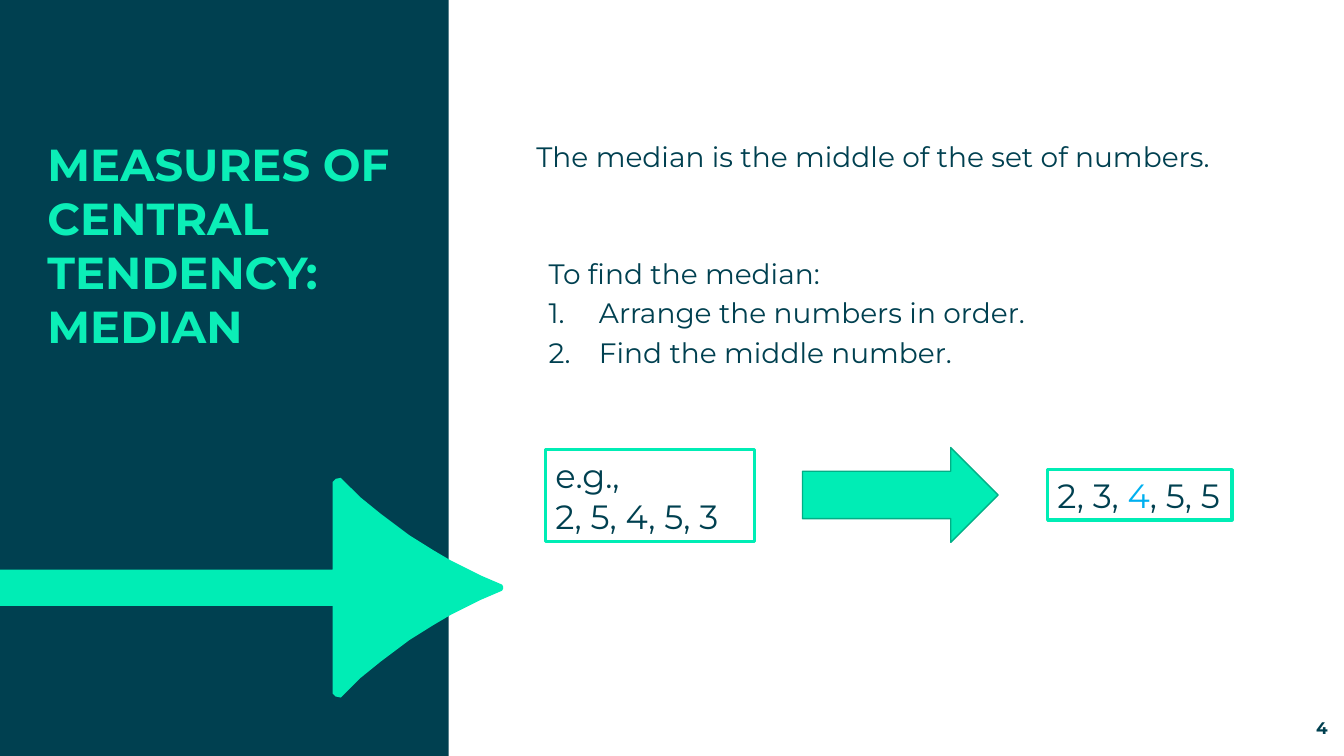
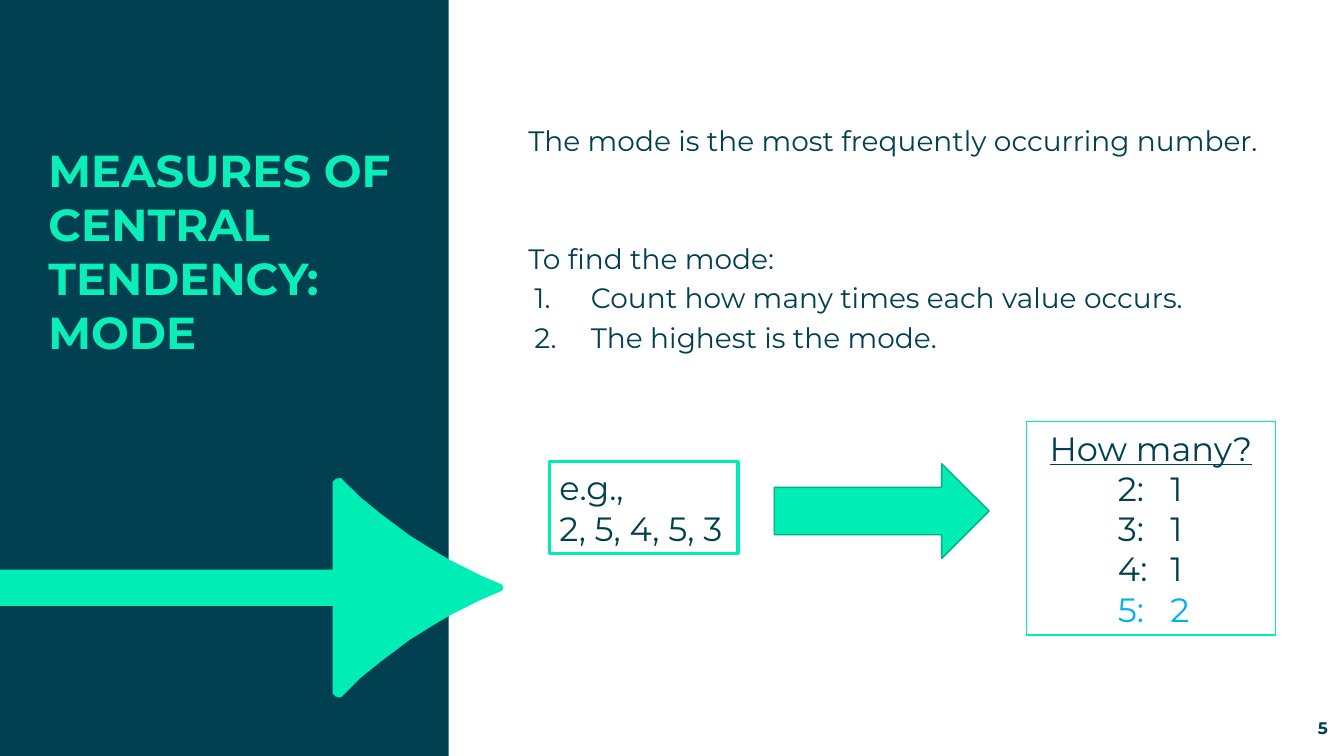
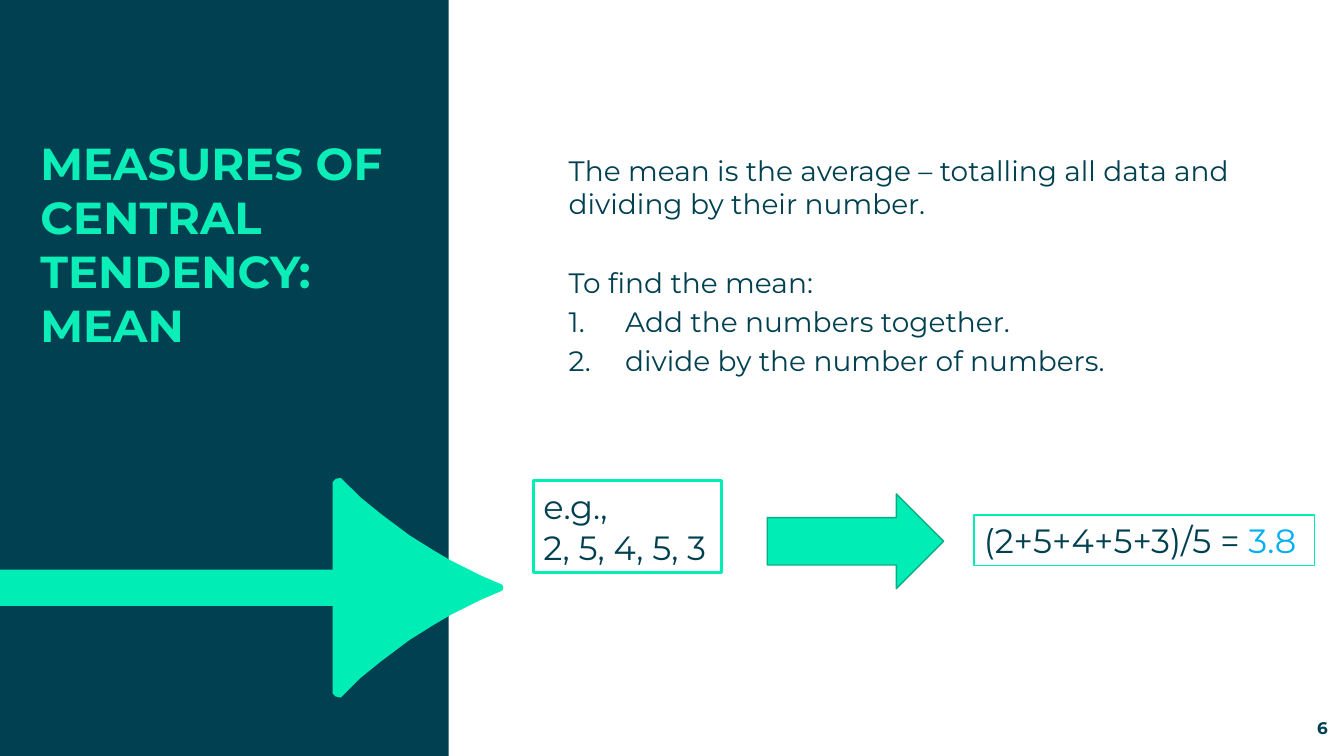
from lxml import etree
from pptx import Presentation
from pptx.dml.color import RGBColor
from pptx.enum.shapes import MSO_SHAPE
from pptx.enum.text import MSO_ANCHOR, MSO_AUTO_SIZE, PP_ALIGN
from pptx.oxml.ns import qn
from pptx.util import Inches, Pt

RECT, ARROW = MSO_SHAPE.RECTANGLE, MSO_SHAPE.RIGHT_ARROW
TOP, MIDDLE, BOTTOM = MSO_ANCHOR.TOP, MSO_ANCHOR.MIDDLE, MSO_ANCHOR.BOTTOM
LEFT, CENTER, RIGHT = PP_ALIGN.LEFT, PP_ALIGN.CENTER, PP_ALIGN.RIGHT
FIXED = MSO_AUTO_SIZE.NONE
FONT = "Montserrat"
HEX = {"navy": "004050", "mint": "00EDB5", "title": "0BEEB7",
       "edge": "00AF86", "blue": "00B0F0"}
AXIS = 5.83
EDGE = [(0, 5.65), (3.3, 5.65), (3.3, 4.78), (3.33, 4.75), (3.38, 4.74),
        (3.57, 4.93), (3.78, 5.1), (4.06, 5.31), (4.3, 5.46), (4.47, 5.56),
        (4.61, 5.63), (4.77, 5.71), (4.98, 5.8), (4.99, 5.82)]
SAMPLE = [["e.g.,"], ["2, 5, 4, 5, 3"]]

SLIDES = [
    {"name": "MEDIAN", "page": 4, "title": (0.37, 1.31, 4.37, 3.01),
     "body": (5.22, 1.33, 7.09, 2.82),
     "lead": "The median is the middle of the set of numbers.",
     "head": "To find the median:",
     "steps": ["Arrange the numbers in order.", "Find the middle number."],
     "gap": 60, "inset": 0.12, "indent": (0.62, -0.5),
     "sample": (5.41, 4.46, 2.07, 0.91), "arrow": (7.96, 4.44, 1.94, 0.94),
     "result": (10.39, 4.66, 1.83, 0.5), "weight": 2.25,
     "lines": [["2, 3, ", "*4", ", 5, 5"]]},
    {"name": "MODE", "page": 5, "title": (0.38, 1.37, 4.37, 3.01),
     "body": (5.14, 1.18, 8.03, 3),
     "lead": "The mode is the most frequently occurring number.",
     "head": "To find the mode:",
     "steps": ["Count how many times each value occurs.",
               "The highest is the mode."],
     "gap": 60, "inset": 0, "indent": (0.62, -0.56),
     "sample": (5.45, 4.58, 1.87, 0.91), "arrow": (7.68, 4.6, 2.13, 0.94),
     "result": (10.18, 4.18, 2.47, 2.12), "weight": 1,
     "lines": [["_How many?"], ["\t2:\t1"], ["\t3:\t1"], ["\t4:\t1"],
               ["*\t5:\t2"]]},
    {"name": "MEAN", "page": 6, "title": (0.3, 1.3, 4.37, 3.01),
     "body": (5.54, 1.47, 7.64, 3.02),
     "lead": "The mean is the average – totalling all data and dividing "
             "by their number.",
     "head": "To find the mean:",
     "steps": ["Add the numbers together.",
               "divide by the number of numbers."],
     "gap": 32, "inset": 0, "indent": (0.56, -0.56),
     "sample": (5.29, 4.77, 1.87, 0.91), "arrow": (7.61, 4.9, 1.75, 0.94),
     "result": (9.66, 5.11, 3.38, 0.5), "weight": 1,
     "lines": [["(2+5+4+5+3)/5 = ", "*3.8"]]},
]


def color(key):
    """Return a palette colour."""
    return RGBColor.from_string(HEX[key])


def place(shape, box):
    """Move a shape to a box in inches."""
    shape.left, shape.top, shape.width, shape.height = map(Inches, box)


def style(para, size, key="navy", bold=False):
    """Format every run of a paragraph."""
    for run in para.runs:
        run.font.name, run.font.size, run.font.bold = FONT, Pt(size), bold
        run.font.color.rgb = color(key)


def setup(frame, anchor=TOP):
    """Give a text frame wrapping, fixed size and an anchor."""
    frame.word_wrap, frame.auto_size = True, FIXED
    frame.vertical_anchor = anchor


def paint(shape, fill=None, line=None, weight=1):
    """Set fill and outline without a shadow."""
    shape.shadow.inherit = False
    if fill:
        shape.fill.solid()
        shape.fill.fore_color.rgb = color(fill)
    else:
        shape.fill.background()
    if line:
        shape.line.color.rgb = color(line)
        shape.line.width = Pt(weight)
    else:
        shape.line.fill.background()


def add_band(slide, layout):
    """Build the side panel and its arrow, and hand them to the layout."""
    panel = slide.shapes.add_shape(RECT, 0, 0, Inches(4.45), Inches(7.5))
    paint(panel, "navy")
    lower = [(x, 2 * AXIS - y) for x, y in reversed(EDGE)]
    start, *rest = [(Inches(x), Inches(y)) for x, y in EDGE + lower]
    pen = slide.shapes.build_freeform(*start, scale=1.0)
    pen.add_line_segments(rest, close=True)
    dart = pen.convert_to_shape()
    paint(dart, "mint")
    for spot, shape in enumerate((panel, dart)):
        shape.element.xpath(".//p:cNvPr")[0].set("id", str(100 + spot))
        layout.shapes.element.insert(2 + spot, shape.element)


def add_title(slide, box, name):
    """Fill the title placeholder."""
    title = slide.shapes.title
    place(title, box)
    frame = title.text_frame
    frame.text = "MEASURES OF CENTRAL TENDENCY: " + name
    setup(frame)
    frame.paragraphs[0].alignment = LEFT
    style(frame.paragraphs[0], 32, "title", True)


def add_body(slide, box, spec_):
    """Fill the body placeholder with lead, heading and numbered steps."""
    body = slide.placeholders[1]
    place(body, box)
    frame = body.text_frame
    frame.text = "\n".join([spec_["lead"], spec_["head"], *spec_["steps"]])
    setup(frame)
    for spot, para in enumerate(frame.paragraphs):
        props = para._p.get_or_add_pPr()
        left, hang = [(0, 0), (spec_["inset"], 0)][spot] if spot < 2 \
            else spec_["indent"]
        props.set("marL", str(Inches(left)))
        props.set("indent", str(Inches(hang)))
        if spot < 2:
            etree.SubElement(props, qn("a:buNone"))
        else:
            etree.SubElement(props, qn("a:buAutoNum"), type="arabicPeriod")
        para.space_before = Pt([0, spec_["gap"], 4, 4][spot])
        style(para, 20)


def add_box(slide, box, lines, weight):
    """Draw an outlined box; * marks blue runs and _ underlined ones."""
    shape = slide.shapes.add_shape(RECT, *map(Inches, box))
    paint(shape, None, "mint", weight)
    frame = shape.text_frame
    setup(frame, MIDDLE)
    for spot, parts in enumerate(lines):
        para = frame.add_paragraph() if spot else frame.paragraphs[0]
        para.alignment = CENTER if parts[0][0] == "_" else LEFT
        for part in parts:
            para.add_run().text = part.lstrip("*_")
        if "\t" in parts[0]:
            tabs = etree.SubElement(para._p.get_or_add_pPr(), qn("a:tabLst"))
            for stop in (0.81, 1.33):
                etree.SubElement(tabs, qn("a:tab"), pos=str(Inches(stop)),
                                 algn="l")
        style(para, 24)
        for run, part in zip(para.runs, parts):
            if part[0] == "*":
                run.font.color.rgb = color("blue")
            if part[0] == "_":
                run.font.underline = True


def add_arrow(slide, box):
    """Draw the arrow from sample to result."""
    paint(slide.shapes.add_shape(ARROW, *map(Inches, box)), "mint", "edge")


def add_page(slide, box, page):
    """Write the slide number."""
    frame = slide.shapes.add_textbox(*map(Inches, box)).text_frame
    frame.text = str(page)
    setup(frame, BOTTOM)
    frame.margin_left = frame.margin_right = 0
    frame.margin_top = frame.margin_bottom = 0
    frame.paragraphs[0].alignment = RIGHT
    style(frame.paragraphs[0], 12, bold=True)


def main():
    """Build and save the deck."""
    deck = Presentation()
    deck.slide_width, deck.slide_height = Inches(13.33), Inches(7.5)
    layout = deck.slide_layouts[1]
    for spot, item in enumerate(SLIDES):
        slide = deck.slides.add_slide(layout)
        if spot == 0:
            add_band(slide, layout)
        add_title(slide, item["title"], item["name"])
        add_page(slide, (12.31, 7.12, 0.86, 0.2), item["page"])
        add_body(slide, item["body"], item)
        add_box(slide, item["sample"], SAMPLE, 2.25)
        add_arrow(slide, item["arrow"])
        add_box(slide, item["result"], item["lines"], item["weight"])
    deck.save("out.pptx")


if __name__ == "__main__":
    main()
